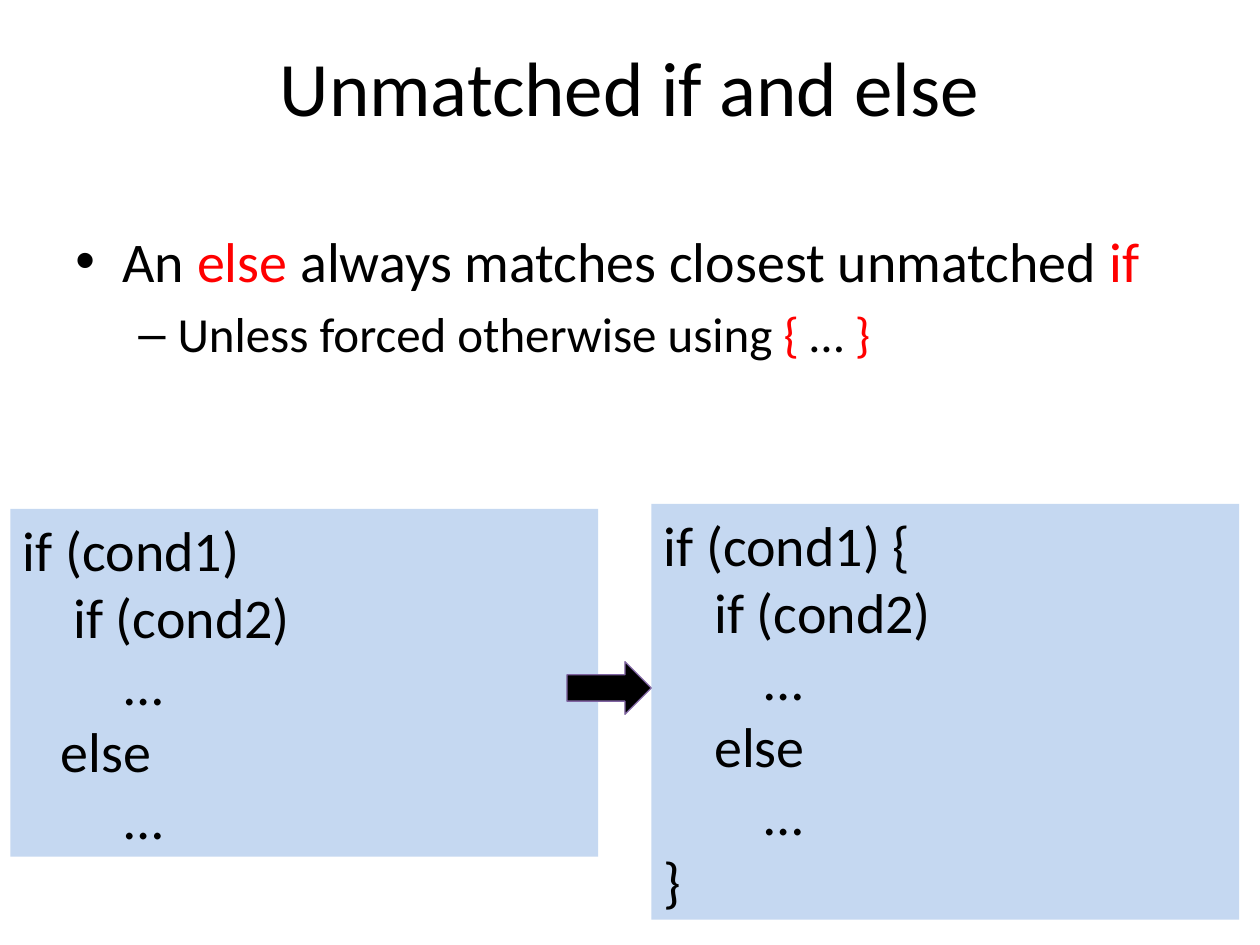
from dataclasses import dataclass

from lxml.etree import SubElement
from pptx import Presentation
from pptx.dml.color import RGBColor
from pptx.enum.shapes import MSO_SHAPE
from pptx.enum.text import MSO_ANCHOR, PP_ALIGN
from pptx.oxml.ns import qn
from pptx.util import Cm, Pt

BLACK = RGBColor(0x00, 0x00, 0x00)
RED = RGBColor(0xFF, 0x00, 0x00)
PALE_BLUE = RGBColor(0xC5, 0xD8, 0xF1)
PURPLE = RGBColor(0x80, 0x64, 0xA2)
FONT = "Calibri"


@dataclass
class Point:
    runs: list[tuple[str, RGBColor]]
    bullet: str
    size: float
    margin: float
    hanging: float
    level: int = 0
    space_before: float = 0


@dataclass
class CodeBox:
    left: float
    top: float
    width: float
    height: float
    lines: list[str]


POINTS = [
    Point([("An ", BLACK), ("else", RED),
           (" always matches closest unmatched ", BLACK), ("if", RED)],
          "•", 32, 0.95, 0.95),
    Point([("Unless forced otherwise using ", BLACK), ("{", RED),
           (" … ", BLACK), ("}", RED)],
          "–", 28, 2.06, 0.79, level=1, space_before=5.6),
]

CODE_BOXES = [
    CodeBox(0.21, 10.26, 11.85, 7.01,
            ["if (cond1)", "    if (cond2)", "        …", "   else", "        …"]),
    CodeBox(13.13, 10.16, 11.85, 8.38,
            ["if (cond1) {", "    if (cond2)", "        …", "    else", "        …", "}"]),
]


def add_run(paragraph, text: str, size: float, color: RGBColor = BLACK) -> None:
    run = paragraph.add_run()
    run.text = text
    run.font.name = FONT
    run.font.size = Pt(size)
    run.font.color.rgb = color


def next_paragraph(frame, index: int):
    return frame.add_paragraph() if index else frame.paragraphs[0]


def add_points(slide, points: list[Point]) -> None:
    body = slide.shapes.add_textbox(Cm(1.27), Cm(4.45), Cm(22.86), Cm(12.57))
    frame = body.text_frame
    frame.word_wrap = True
    for index, point in enumerate(points):
        paragraph = next_paragraph(frame, index)
        paragraph.level = point.level
        if point.space_before:
            paragraph.space_before = Pt(point.space_before)
        properties = paragraph._p.get_or_add_pPr()
        properties.set("marL", str(Cm(point.margin)))
        properties.set("indent", str(-Cm(point.hanging)))
        SubElement(properties, qn("a:buFont"), typeface="Arial")
        SubElement(properties, qn("a:buChar"), char=point.bullet)
        for text, color in point.runs:
            add_run(paragraph, text, point.size, color)


def add_code_box(slide, code: CodeBox) -> None:
    panel = slide.shapes.add_shape(MSO_SHAPE.RECTANGLE, Cm(code.left), Cm(code.top),
                                   Cm(code.width), Cm(code.height))
    panel.shadow.inherit = False
    panel.fill.solid()
    panel.fill.fore_color.rgb = PALE_BLUE
    panel.line.fill.background()
    frame = panel.text_frame
    frame.word_wrap = True
    frame.vertical_anchor = MSO_ANCHOR.TOP
    for index, line in enumerate(code.lines):
        paragraph = next_paragraph(frame, index)
        paragraph.alignment = PP_ALIGN.LEFT
        add_run(paragraph, line, 32)


def main() -> None:
    presentation = Presentation()
    presentation.slide_width = Cm(25.4)
    presentation.slide_height = Cm(19.05)
    slide = presentation.slides.add_slide(presentation.slide_layouts[5])

    # Title
    title = slide.shapes.title
    title.left, title.top = Cm(1.27), Cm(0.13)
    title.width, title.height = Cm(22.86), Cm(3.18)
    title.text_frame.vertical_anchor = MSO_ANCHOR.MIDDLE
    heading = title.text_frame.paragraphs[0]
    heading.alignment = PP_ALIGN.CENTER
    add_run(heading, "Unmatched if and else", 44)

    # Matching rule
    add_points(slide, POINTS)

    # Code before and after adding braces
    for code in CODE_BOXES:
        add_code_box(slide, code)

    # Arrow between the code boxes
    arrow = slide.shapes.add_shape(MSO_SHAPE.RIGHT_ARROW,
                                   Cm(11.43), Cm(13.34), Cm(1.7), Cm(1.06))
    arrow.shadow.inherit = False
    arrow.fill.solid()
    arrow.fill.fore_color.rgb = BLACK
    arrow.line.color.rgb = PURPLE
    arrow.line.width = Pt(0.75)

    presentation.save("out.pptx")


if __name__ == "__main__":
    main()
